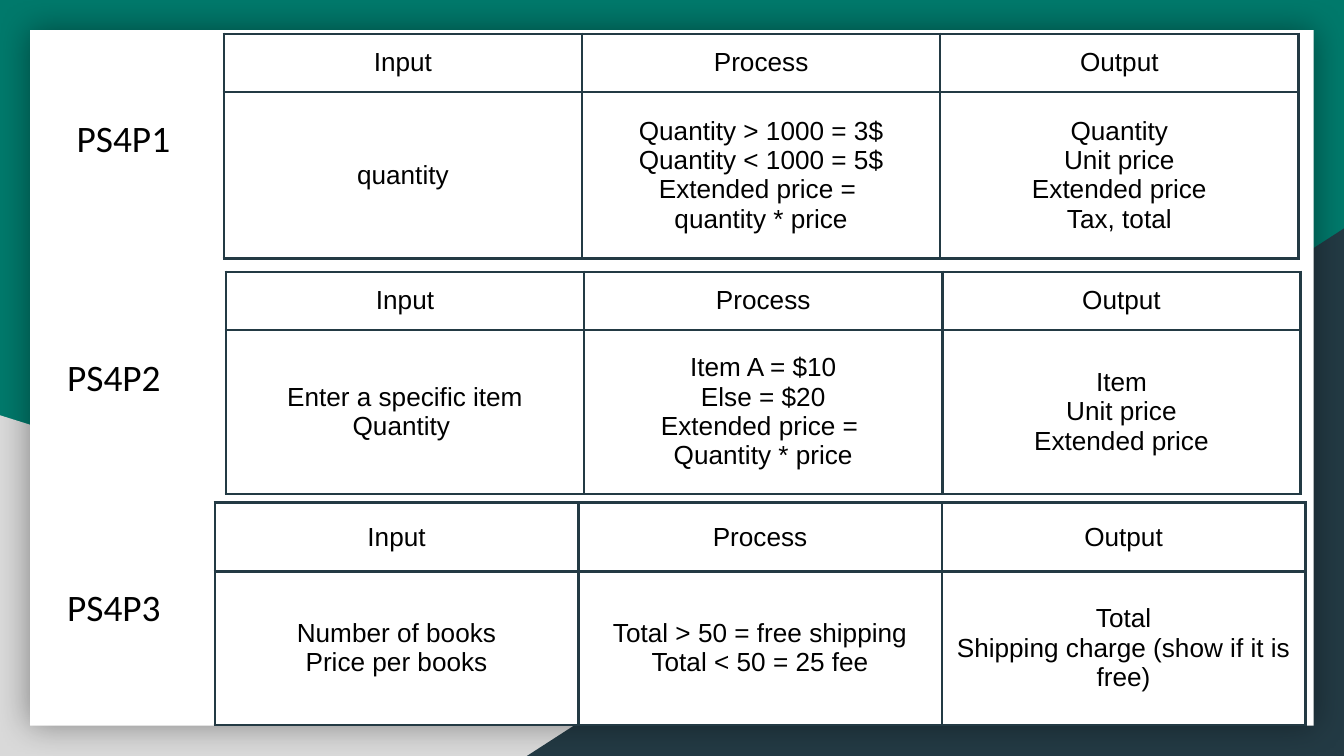
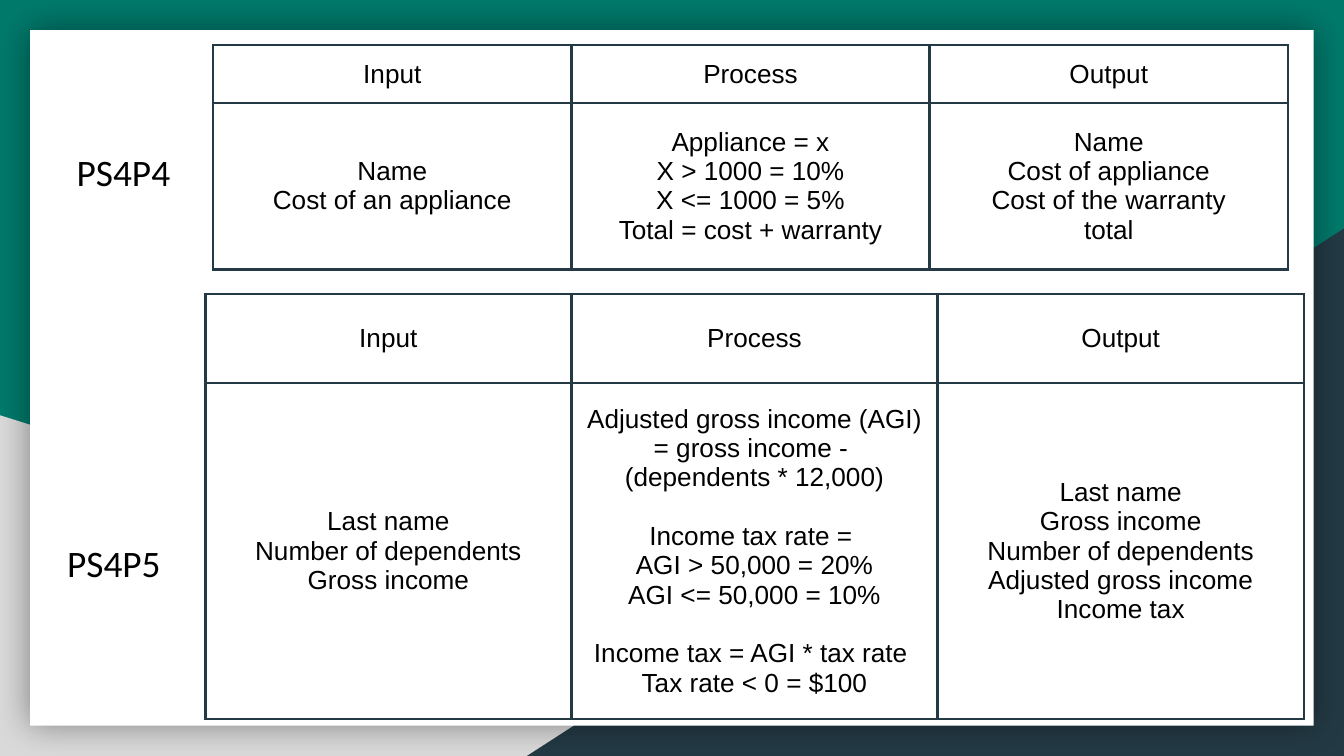
from lxml import etree
from pptx import Presentation
from pptx.dml.color import RGBColor
from pptx.enum.shapes import MSO_SHAPE
from pptx.enum.text import MSO_ANCHOR, PP_ALIGN
from pptx.oxml.ns import qn
from pptx.util import Cm, Pt

RECTANGLE, TRIANGLE = MSO_SHAPE.RECTANGLE, MSO_SHAPE.RIGHT_TRIANGLE
MIDDLE, CENTER = MSO_ANCHOR.MIDDLE, PP_ALIGN.CENTER

WIDTH, HEIGHT = 25.4, 14.29
PANEL_MARGIN = 0.57
INSET = Cm(0.25)
LABEL_SIZE = (4.67, 1.9)
HEADINGS = ("Input", "Process", "Output")
BLANK_LINE = Pt(15.7)

GREEN, NAVY, GREY = "00796B", "233A44", "D9D9D9"
WHITE, BLACK = "FFFFFF", "000000"


def color(value):
    return RGBColor.from_string(value)


def child(parent, tag, **attributes):
    return etree.SubElement(parent, qn(tag), attributes)


class Worksheet:
    """The shared style and the slide being filled."""

    def __init__(self):
        self.deck = Presentation()
        self.deck.slide_width, self.deck.slide_height = Cm(WIDTH), Cm(HEIGHT)
        fill = self.deck.slide_master.background.fill
        fill.solid()
        fill.fore_color.rgb = color(GREEN)
        self.page = None

    def add_page(self):
        self.page = self.deck.slides.add_slide(self.deck.slide_layouts[6])
        # Corner triangles
        self.add_block(TRIANGLE, 0, 7.85, 20.47, HEIGHT - 7.85, GREY)
        corner = self.add_block(TRIANGLE, 9.96, 4.32, WIDTH - 9.96, HEIGHT - 4.32, NAVY)
        corner.element.spPr.xfrm.set("flipH", "1")
        # White panel with a soft shadow all round
        panel = self.add_block(RECTANGLE, PANEL_MARGIN, PANEL_MARGIN,
                               WIDTH - 2 * PANEL_MARGIN, HEIGHT - 2 * PANEL_MARGIN, WHITE)
        effects = panel.element.spPr.find(qn("a:effectLst"))
        shadow = child(effects, "a:outerShdw", blurRad=str(Pt(18)), dist="0",
                       dir="0", algn="ctr", rotWithShape="0")
        child(child(shadow, "a:srgbClr", val=BLACK), "a:alpha", val="40000")

    def add_block(self, kind, left, top, width, height, fill):
        block = self.page.shapes.add_shape(kind, Cm(left), Cm(top), Cm(width), Cm(height))
        block.shadow.inherit = False
        block.fill.solid()
        block.fill.fore_color.rgb = color(fill)
        block.line.fill.background()
        return block

    def add_lines(self, frame, lines, font, size):
        """Add centred lines; an empty line becomes space before the next one."""
        frame.word_wrap = True
        para, gap = None, False
        for line in lines:
            if not line:
                gap = True
                continue
            para = frame.add_paragraph() if para else frame.paragraphs[0]
            para.alignment = CENTER
            if gap:
                para.space_before = BLANK_LINE
                gap = False
            span = para.add_run()
            span.text = line
            span.font.name, span.font.size = font, Pt(size)
            span.font.color.rgb = color(BLACK)

    def add_label(self, text, left, top):
        width, height = LABEL_SIZE
        box = self.page.shapes.add_textbox(Cm(left), Cm(top), Cm(width), Cm(height))
        frame = box.text_frame
        frame.vertical_anchor = MIDDLE
        frame.margin_left = frame.margin_right = INSET
        frame.margin_top = frame.margin_bottom = INSET
        self.add_lines(frame, [text], "Calibri", 20)

    def add_table(self, left, top, column_width, row_heights, *answers):
        rows = [[[heading] for heading in HEADINGS], answers]
        table = self.page.shapes.add_table(
            len(rows), len(HEADINGS), Cm(left), Cm(top),
            Cm(column_width * len(HEADINGS)), Cm(sum(row_heights))).table
        table.first_row = table.horz_banding = False
        for column in table.columns:
            column.width = Cm(column_width)
        for row, height, texts in zip(table.rows, row_heights, rows):
            row.height = Cm(height)
            for cell, lines in zip(row.cells, texts):
                self.format_cell(cell)
                self.add_lines(cell.text_frame, lines, "Arial", 14)

    def format_cell(self, cell):
        cell.vertical_anchor = MIDDLE
        cell.margin_left = cell.margin_right = INSET
        cell.margin_top = cell.margin_bottom = INSET
        properties = cell._tc.get_or_add_tcPr()
        for side in "LRTB":
            border = child(properties, "a:ln" + side, w=str(Pt(1.5)))
            child(child(border, "a:solidFill"), "a:srgbClr", val=NAVY)
        cell.fill.background()


sheet = Worksheet()

# Slide 1: problems 1 to 3
sheet.add_page()
sheet.add_label("PS4P1", 0, 1.65)
sheet.add_table(
    4.23, 0.64, 6.77, (0.99, 3.15),
    ["quantity"],
    ["Quantity > 1000 = 3$", "Quantity < 1000 = 5$", "Extended price = ", "quantity * price"],
    ["Quantity", "Unit price", "Extended price", "Tax, total"])
sheet.add_label("PS4P2", -0.18, 6.17)
sheet.add_table(
    4.27, 5.14, 6.77, (1.04, 3.1),
    ["Enter a specific item", "Quantity "],
    ["Item A = $10", "Else = $20", "Extended price = ", "Quantity * price"],
    ["Item", "Unit price", "Extended price"])
sheet.add_label("PS4P3", -0.18, 10.52)
sheet.add_table(
    4.06, 9.5, 6.87, (1.3, 2.9),
    ["Number of books", "Price per books"],
    ["Total > 50 = free shipping", "Total < 50 = 25 fee"],
    ["Total", "Shipping charge (show if it is free)"])

# Slide 2: problems 4 and 5
sheet.add_page()
sheet.add_label("PS4P4", 0, 2.29)
sheet.add_table(
    4.03, 0.85, 6.77, (0.99, 3.15),
    ["Name", "Cost of an appliance"],
    ["Appliance = x", "X > 1000 = 10%", "X <= 1000 = 5%", "Total = cost + warranty"],
    ["Name", "Cost of appliance", "Cost of the warranty", "total"])
sheet.add_label("PS4P5", -0.18, 9.68)
sheet.add_table(
    3.88, 5.56, 6.92, (1.68, 5.92),
    ["Last name", "Number of dependents", "Gross income"],
    ["Adjusted gross income (AGI) = gross income - ", "(dependents * 12,000)", "",
     "Income tax rate = ", "AGI > 50,000 = 20%", "AGI <= 50,000 = 10%", "",
     "Income tax = AGI * tax rate ", "Tax rate < 0 = $100"],
    ["Last name", "Gross income", "Number of dependents", "Adjusted gross income",
     "Income tax"])

sheet.deck.save("out.pptx")
